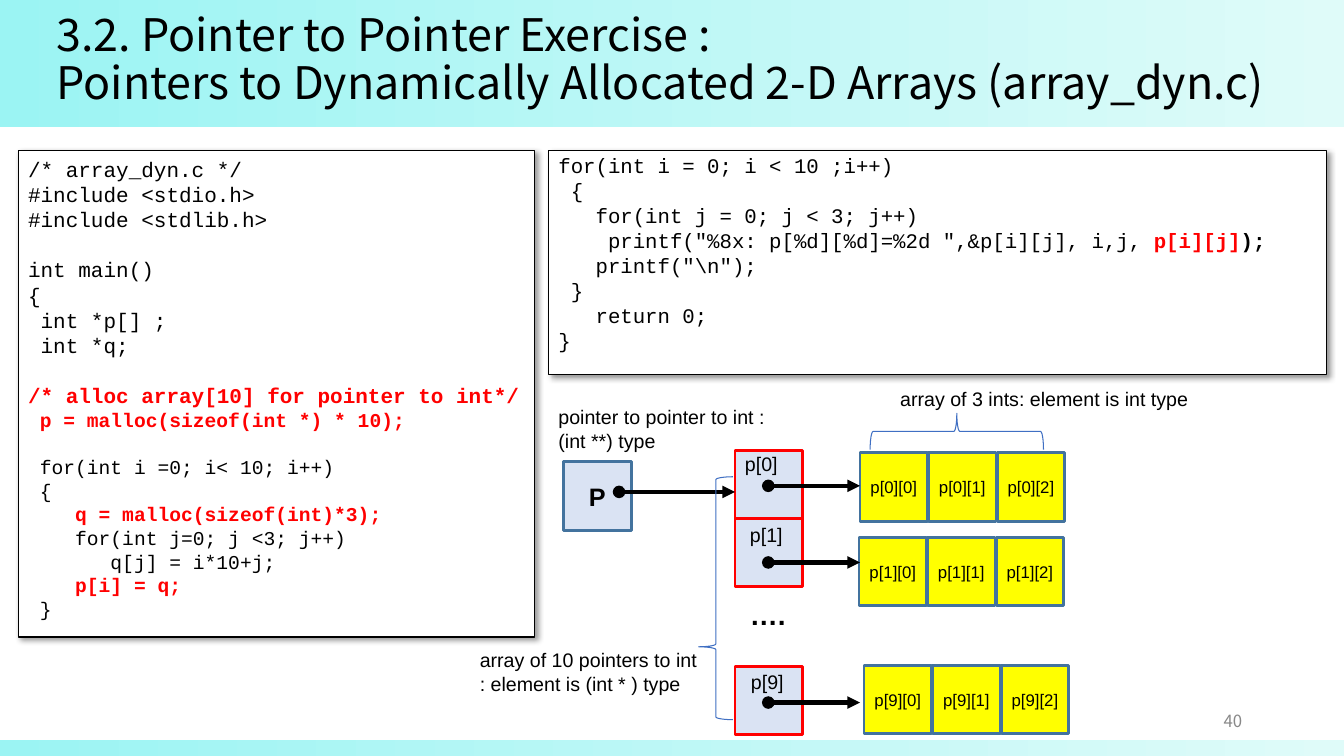
import pptx
import pptx.util
import pptx.dml.color
import pptx.enum.shapes
import pptx.enum.text
import pptx.oxml
import pptx.oxml.ns
from dataclasses import dataclass

Inches = pptx.util.Inches
Pt = pptx.util.Pt
SHAPE = pptx.enum.shapes.MSO_SHAPE
ANCHOR = pptx.enum.text.MSO_ANCHOR
ALIGN = pptx.enum.text.PP_ALIGN


@dataclass(frozen=True)
class Theme:
    head_font: str = "Noto Sans CJK KR"
    code_font: str = "Courier New"
    body_font: str = "Arial"
    black: str = "000000"
    white: str = "FFFFFF"
    red: str = "FF0000"
    grey: str = "888888"
    pointer_fill: str = "DAE3F3"
    int_fill: str = "FFFF00"
    cell_line: str = "43739E"
    brace_line: str = "3F6FC3"
    band: tuple = ("9BF4F3", "DFFBF9")
    title_size: float = 32
    dots_size: float = 20
    name_size: float = 18
    label_size: float = 14
    small_size: float = 12
    code_big: float = 15
    code_mid: float = 14.8
    code_small: float = 14


T = Theme()
CELL_W, CELL_H = 0.67, 0.68

ALLOC_CODE = [
    (T.code_big, ["/* array_dyn.c */", "#include <stdio.h>", "#include <stdlib.h>", "",
                  "int main()", "{", " int *p[] ;", " int *q;", "",
                  [("/* alloc array[10] for pointer to int*/", T.red, True)]]),
    (T.code_small, [[(" p = malloc(sizeof(int *) * 10);", T.red, True)], "",
                    " for(int i =0; i< 10; i++)", " {",
                    [("    q = malloc(sizeof(int)*3);", T.red, True)],
                    "    for(int j=0; j <3; j++)", "       q[j] = i*10+j;",
                    [("    p[i] = q;", T.red, True)], " }"]),
]
PRINT_CODE = [
    (T.code_mid, ["for(int i = 0; i < 10 ;i++)", " {", "   for(int j = 0; j < 3; j++)",
                  [('    printf("%8x: p[%d][%d]=%2d ",&p[i][j], i,j, ', T.black, False),
                   ("p[i][j]", T.red, True), (");", T.black, True)],
                  r'   printf("\n");', " }", "   return 0;", "}"]),
]


def rgb(color):
    return pptx.dml.color.RGBColor.from_string(color)


def style(r, size, font, color=T.black, bold=False):
    r.font.size = Pt(size)
    r.font.name = font
    r.font.bold = bold
    r.font.color.rgb = rgb(color)


def add_xml(parent, xml):
    ns = pptx.oxml.ns.nsdecls("a")
    parent.append(pptx.oxml.parse_xml(xml.replace(">", f" {ns}>", 1)))


def shape(s, kind, box, fill=None, line=None, width=2):
    sp = s.shapes.add_shape(kind, *map(Inches, box))
    sp.shadow.inherit = False
    if fill:
        sp.fill.solid()
        sp.fill.fore_color.rgb = rgb(fill)
    else:
        sp.fill.background()
    if line:
        sp.line.color.rgb = rgb(line)
        sp.line.width = Pt(width)
    else:
        sp.line.fill.background()
    return sp


def band(s, top, height):
    """Gradient strip across the slide, behind everything else."""
    sp = shape(s, SHAPE.RECTANGLE, (0, top, 13.33, height))
    sp.fill.gradient()
    sp.fill.gradient_angle = 0
    for stop, color in zip(sp.fill.gradient_stops, T.band):
        stop.color.rgb = rgb(color)
    s.shapes._spTree.insert(2, sp._element)


def title(s, text):
    sp = s.shapes.title
    sp.left, sp.top, sp.width, sp.height = map(Inches, (0.46, 0.25, 12.58, 0.7))
    tf = sp.text_frame
    tf.text = text
    tf.word_wrap = True
    tf.auto_size = pptx.enum.text.MSO_AUTO_SIZE.NONE
    tf.vertical_anchor = ANCHOR.MIDDLE
    p = tf.paragraphs[0]
    p.alignment = ALIGN.LEFT
    p.line_spacing = Pt(34.3)
    for r in p.runs:
        style(r, T.title_size, T.head_font)


def code_box(s, box, blocks, inset):
    sp = shape(s, SHAPE.RECTANGLE, box, T.white, T.black, 0.75)
    effects = sp._element.spPr.find(pptx.oxml.ns.qn("a:effectLst"))
    add_xml(effects, '<a:outerShdw blurRad="50800" dist="38100" dir="2700000" algn="tl">'
                     f'<a:srgbClr val="{T.black}"><a:alpha val="40000"/></a:srgbClr></a:outerShdw>')
    tf = sp.text_frame
    tf.word_wrap = True
    tf.vertical_anchor = ANCHOR.TOP
    tf.margin_top = Inches(inset)
    lines = [(size, line) for size, block in blocks for line in block]
    for i, (size, line) in enumerate(lines):
        p = tf.add_paragraph() if i else tf.paragraphs[0]
        p.alignment = ALIGN.LEFT
        p.line_spacing = Pt(size * 1.2)
        p.font.size = Pt(size)
        runs = [(line, T.black, False)] if isinstance(line, str) else line
        for text, color, bold in runs:
            if text:
                r = p.add_run()
                r.text = text
                style(r, size, T.code_font, color, bold)


def label(s, box, text, size=T.label_size, font=T.body_font, color=T.black,
          bold=False, wrap=True, align=ALIGN.LEFT):
    tf = s.shapes.add_textbox(*map(Inches, box)).text_frame
    tf.word_wrap = wrap
    tf.text = text
    for p in tf.paragraphs:
        p.alignment = align
        style(p.runs[0], size, font, color, bold)
    return tf


def cell(s, left, top, fill, line, text="", size=T.small_size, bold=False):
    sp = shape(s, SHAPE.RECTANGLE, (left, top, CELL_W, CELL_H), fill, line)
    if text:
        tf = sp.text_frame
        tf.text = text
        tf.word_wrap = False
        tf.vertical_anchor = ANCHOR.MIDDLE
        tf.paragraphs[0].alignment = ALIGN.CENTER
        style(tf.paragraphs[0].runs[0], size, T.body_font, bold=bold)


def pointer_arrow(s, x1, x2, y):
    c = s.shapes.add_connector(pptx.enum.shapes.MSO_CONNECTOR.STRAIGHT,
                               *map(Inches, (x1, y, x2, y)))
    c.line.color.rgb = rgb(T.black)
    c.line.width = Pt(3)
    ln = c.line._get_or_add_ln()
    add_xml(ln, '<a:headEnd type="oval"></a:headEnd>')
    add_xml(ln, '<a:tailEnd type="triangle"></a:tailEnd>')
    add_xml(c._element.spPr, "<a:effectLst></a:effectLst>")


def array_row(s, index, pointer_top, label_at, arrow_y, ints_at):
    """One pointer p[i] and the three ints it points to."""
    cell(s, 7.29, pointer_top, T.pointer_fill, T.red)
    label(s, (*label_at, 0.53, 0.34), f"p[{index}]", wrap=False)
    left, top = ints_at
    for j in range(3):
        cell(s, left + j * 0.68, top, T.int_fill, T.cell_line, f"p[{index}][{j}]")
    pointer_arrow(s, 7.62, 8.53, arrow_y)


def main():
    prs = pptx.Presentation()
    prs.slide_width, prs.slide_height = Inches(13.33), Inches(7.5)
    s = prs.slides.add_slide(prs.slide_layouts[5])
    band(s, 7.34, 0.16)
    band(s, 0, 1.26)
    title(s, "3.2. Pointer to Pointer Exercise :\v"
             "Pointers to Dynamically Allocated 2-D Arrays (array_dyn.c)")
    code_box(s, (0.18, 1.49, 5.12, 4.83), ALLOC_CODE, 0.06)
    code_box(s, (5.44, 1.49, 7.72, 2.23), PRINT_CODE, 0.03)

    cell(s, 5.59, 4.58, T.pointer_fill, T.cell_line, "P", T.name_size, True)
    array_row(s, 0, 4.47, (7.29, 4.43), 4.82, (8.53, 4.49))
    array_row(s, 1, 5.14, (7.34, 5.14), 5.58, (8.52, 5.33))
    array_row(s, 9, 6.61, (7.35, 6.6), 6.97, (8.57, 6.6))
    pointer_arrow(s, 6.14, 7.29, 4.88)
    label(s, (7.34, 5.88, 0.56, 0.44), "….", T.dots_size, bold=True, wrap=False)

    pointers = shape(s, SHAPE.LEFT_BRACE, (6.93, 4.73, 0.34, 2.41), None, T.brace_line, 0.75)
    pointers.adjustments[1] = 0.7
    ints = shape(s, SHAPE.RIGHT_BRACE, (9.31, 3.42, 0.36, 1.72), None, T.brace_line, 0.75)
    ints.rotation = 270
    label(s, (4.66, 6.38, 2.68, 0.57), "array of 10 pointers to int\n: element is (int * ) type")
    label(s, (8.83, 3.79, 3.33, 0.34), "array of 3 ints: element is int type")
    label(s, (5.44, 3.97, 2.34, 0.57), "pointer to pointer to int : (int **) type")
    number = label(s, (9.42, 6.95, 3, 0.4), "40", T.small_size, T.head_font, T.grey,
                   align=ALIGN.RIGHT)
    number.vertical_anchor = ANCHOR.MIDDLE
    prs.save("out.pptx")


if __name__ == "__main__":
    main()
